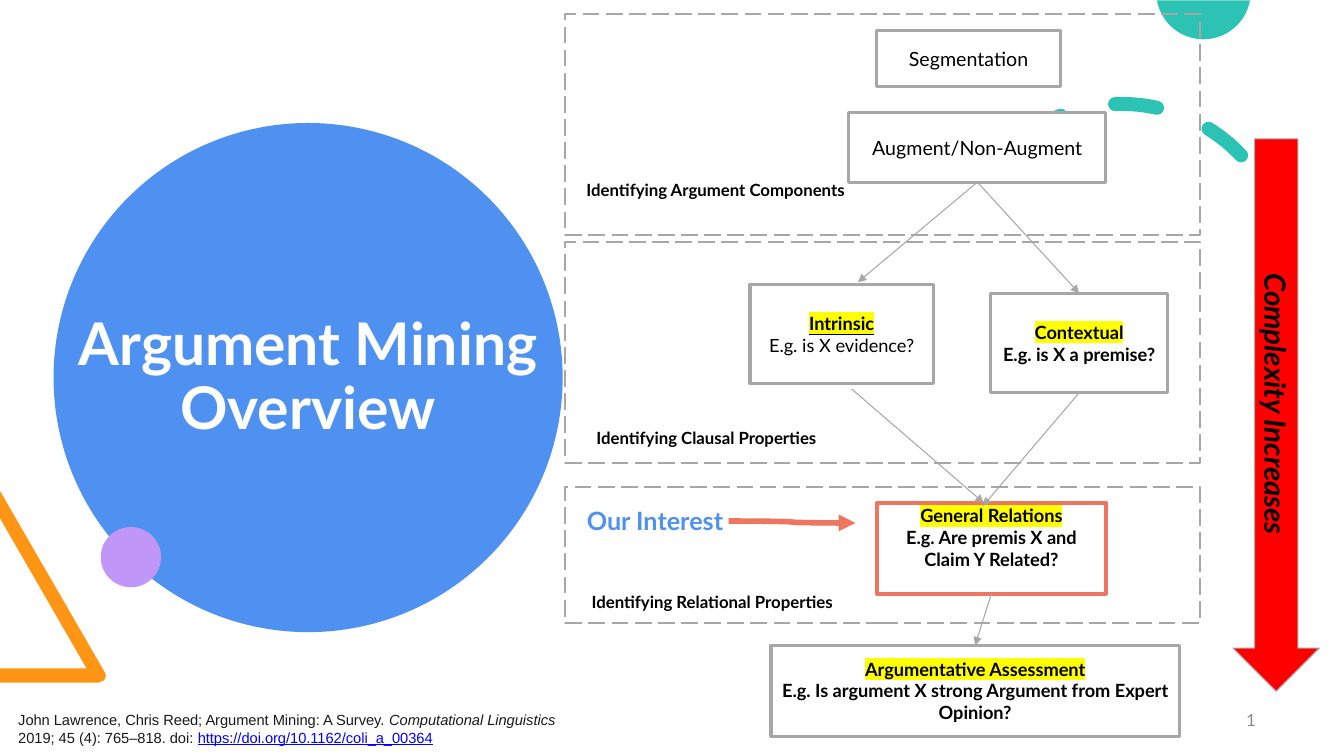
from math import cos, radians, sin

from lxml.etree import SubElement
from pptx import Presentation
from pptx.dml.color import RGBColor
from pptx.enum.dml import MSO_LINE_DASH_STYLE as DASH
from pptx.enum.shapes import MSO_CONNECTOR as CONN, MSO_SHAPE as SHAPE
from pptx.enum.text import MSO_ANCHOR as ANCHOR, PP_ALIGN as ALIGN
from pptx.oxml.ns import qn
from pptx.util import Cm, Pt

BLACK = RGBColor(0x00, 0x00, 0x00)
WHITE = RGBColor(0xFF, 0xFF, 0xFF)
GRAY = RGBColor(0xA7, 0xA7, 0xA7)
NUMBER_GRAY = RGBColor(0x88, 0x88, 0x88)
INK = RGBColor(0x1A, 0x1A, 0x1A)
BLUE = RGBColor(0x4E, 0x91, 0xF0)
LINK_BLUE = RGBColor(0x00, 0x00, 0xFF)
TEAL = RGBColor(0x2C, 0xC3, 0xB4)
ORANGE = RGBColor(0xFF, 0x95, 0x14)
PURPLE = RGBColor(0xC0, 0x97, 0xF8)
CORAL = RGBColor(0xEE, 0x76, 0x61)
RED = RGBColor(0xFF, 0x00, 0x00)
YELLOW = RGBColor(0xFF, 0xFF, 0x00)

TITLE = "Argument Mining Overview"
CITATION = [
    ("John Lawrence, Chris Reed; Argument Mining: A Survey. ", {}),
    ("Computational Linguistics", {"italic": True}),
    (" 2019; 45 (4): 765–818. doi: ", {}),
    ("https://doi.org/10.1162/coli_a_00364", {"color": LINK_BLUE, "underline": True}),
]
HEAD = {"size": 13, "bold": True, "underline": True, "highlight": YELLOW}
BODY = {"size": 13, "bold": True, "highlight": WHITE}
BOXES = {
    "segmentation": ((22.1, 0.76, 4.62, 1.42), [("Segmentation", {"size": 14})]),
    "augment": ((21.39, 2.84, 6.48, 1.75), [("Augment/Non-Augment", {"size": 14})]),
    "intrinsic": ((18.9, 7.16, 4.62, 2.51),
                  [("Intrinsic", HEAD), ("E.g. is X evidence?", {"size": 13})]),
    "contextual": ((24.97, 7.39, 4.45, 2.51),
                   [("Contextual", HEAD), ("E.g. is X a premise?", BODY)]),
    "relations": ((22.1, 12.67, 5.77, 2.29),
                  [("General Relations", HEAD),
                   ("E.g. Are premis X and Claim Y Related?", BODY)]),
    "assessment": ((19.43, 16.26, 10.29, 2.29),
                   [("Argumentative Assessment", HEAD),
                    ("E.g. Is argument X strong Argument from Expert Opinion?", BODY)]),
}
ARROWS = [
    ("augment", (21.62, 7.11)),
    ("augment", "contextual"),
    ((21.46, 9.8), (24.79, 12.67)),
    ("contextual", (24.77, 12.75)),
    ("relations", "assessment"),
]
STAGES = [
    ("Identifying Argument Components", (14.53, 4.27), (0.36, 5.56)),
    ("Identifying Clausal Properties", (14.78, 10.52), (6.1, 5.56)),
    ("Identifying Relational Properties", (14.66, 14.66), (12.27, 3.43)),
]
TRIANGLE = [(0, 17.2), (0, 16.84), (2.18, 16.84), (0, 13.06), (0, 12.37),
            (2.64, 16.94), (2.67, 17.02), (2.63, 17.14), (2.49, 17.2)]
CAP = [(30.33 + 1.19 * cos(radians(a)), -0.2 + 1.19 * sin(radians(a)))
       for a in range(10, 171, 4)]


def cms(values):
    return [Cm(v) for v in values]


def add_run(p, text, size=13, color=BLACK, bold=False, italic=False,
            underline=False, highlight=None, font="Lato"):
    r = p.add_run()
    r.text = text
    f = r.font
    f.size, f.bold, f.italic, f.underline = Pt(size), bold, italic, underline
    f.color.rgb = color
    if highlight is not None:
        mark = SubElement(r._r.get_or_add_rPr(), qn("a:highlight"))
        SubElement(mark, qn("a:srgbClr"), val=str(highlight))
    f.name = font
    return r


def set_frame(sp, inset, anchor=ANCHOR.MIDDLE):
    tf = sp.text_frame
    tf.word_wrap = True
    tf.vertical_anchor = anchor
    tf.margin_left = tf.margin_right = tf.margin_top = tf.margin_bottom = Cm(inset)
    return tf


def paint(sp, fill=None, line=None, width=0.75):
    sp.shadow.inherit = False
    if fill is None:
        sp.fill.background()
    else:
        sp.fill.solid()
        sp.fill.fore_color.rgb = fill
    if line is None:
        sp.line.fill.background()
    else:
        sp.line.color.rgb = line
        sp.line.width = Pt(width)
    return sp


def add_shape(kind, place, fill=None, line=None, width=0.75):
    return paint(s.shapes.add_shape(kind, *cms(place)), fill, line, width)


def add_outline(points, fill):
    fb = s.shapes.build_freeform(*cms(points[0]))
    fb.add_line_segments([cms(pt) for pt in points[1:]], close=True)
    return paint(fb.convert_to_shape(), fill)


def add_text(place, inset=0.13, anchor=ANCHOR.TOP):
    return set_frame(s.shapes.add_textbox(*cms(place)), inset, anchor).paragraphs[0]


def add_arrow(kind, start, end, color, width):
    c = s.shapes.add_connector(kind, *cms(start + end))
    c.line.color.rgb = color
    c.line.width = Pt(width)
    SubElement(c.line._get_or_add_ln(), qn("a:tailEnd"), type="triangle")
    SubElement(c._element.spPr, qn("a:effectLst"))
    return c


prs = Presentation()
prs.slide_width, prs.slide_height = Cm(33.87), Cm(19.05)
s = prs.slides.add_slide(prs.slide_layouts[5])

add_outline(TRIANGLE, ORANGE)
add_outline(CAP, TEAL)
add_shape(SHAPE.OVAL, (1.35, 3.1, 12.83, 12.83), BLUE)
arc = add_shape(SHAPE.ARC, (24.13, 2.62, 8.28, 8.28), line=TEAL, width=10)
arc.adjustments[0], arc.adjustments[1] = 233.5 * 0.6, 0
arc.line.dash_style = DASH.DASH
arc.line._get_or_add_ln().set("cap", "rnd")
add_shape(SHAPE.OVAL, (2.54, 13.28, 1.52, 1.52), PURPLE)

title = s.shapes.title
title.left, title.top, title.width, title.height = cms((1.55, 3.89, 12.42, 11.3))
title.element.getparent().append(title.element)
p = set_frame(title, 0.13).paragraphs[0]
p.alignment, p.line_spacing = ALIGN.CENTER, 0.9
add_run(p, TITLE, 42, WHITE, bold=True)

p = add_text((30.78, 17.78, 1, 0.74), anchor=ANCHOR.MIDDLE)
p.alignment = ALIGN.RIGHT
number = add_run(p, "3", 12, NUMBER_GRAY)._r
number.tag = qn("a:fld")
number.set("id", "{B6F15528-21DE-4FAA-801E-634DDDAF4B2B}")
number.set("type", "slidenum")

p = add_text((0.33, 17.78, 13.92, 1.1))
for text, style in CITATION:
    add_run(p, text, **{"size": 10.5, "color": INK, "font": "Arial", **style})

add_run(add_text((14.66, 12.6, 4.14, 1.02)), "Our Interest", 18, BLUE, bold=True)
add_arrow(CONN.CURVE, (18.36, 13.13), (21.56, 13.18), CORAL, 4)

boxes = {}
for name, (place, lines) in BOXES.items():
    interest = name == "relations"
    sp = add_shape(SHAPE.RECTANGLE, place, WHITE,
                   CORAL if interest else GRAY, 3 if interest else 2.25)
    tf = set_frame(sp, 0.25)
    if interest:
        tf.vertical_anchor, tf.margin_top = ANCHOR.TOP, Cm(0.04)
    for i, (text, style) in enumerate(lines):
        p = tf.add_paragraph() if i else tf.paragraphs[0]
        p.alignment = ALIGN.CENTER
        add_run(p, text, **style)
    boxes[name] = sp

for start, end in ARROWS:
    c = add_arrow(CONN.STRAIGHT, (0, 0) if start in boxes else start,
                  (0, 0) if end in boxes else end, GRAY, 0.75)
    if start in boxes:
        c.begin_connect(boxes[start], 2)
    if end in boxes:
        c.end_connect(boxes[end], 0)

for label, (x, y), (top, height) in STAGES:
    stage = add_shape(SHAPE.RECTANGLE, (14.25, top, 16, height), line=GRAY, width=1.5)
    stage.line.dash_style = DASH.LONG_DASH
    add_run(add_text((x, y, 7.2, 1.02), 0.25), label, 12, bold=True)

complexity = add_shape(SHAPE.RIGHT_ARROW, (25.2, 9.37, 13.92, 2.18), RED, GRAY)
complexity.rotation = 90
p = set_frame(complexity, 0.25).paragraphs[0]
p.alignment = ALIGN.CENTER
add_run(p, "Complexity Increases", 21, bold=True, italic=True)

prs.save("out.pptx")
